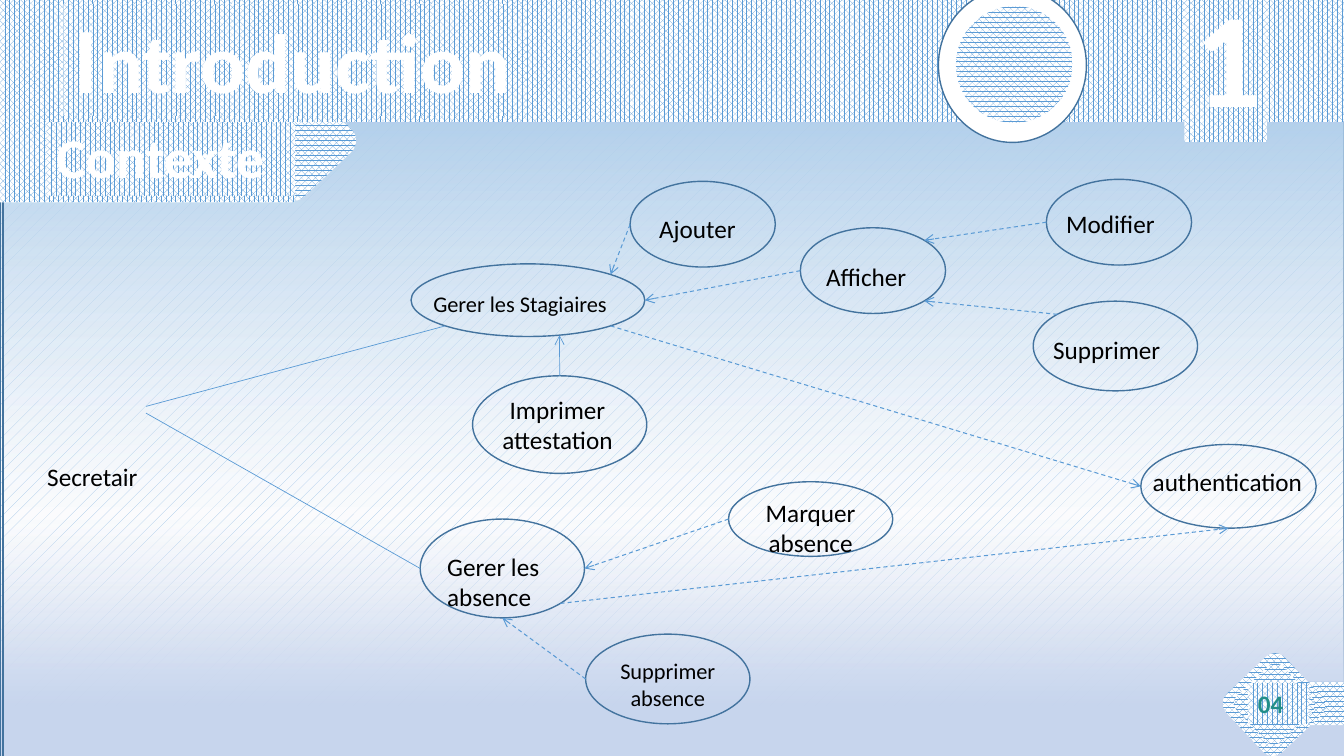
import pptx
import pptx.util
import pptx.oxml
import pptx.oxml.ns
import pptx.dml.color
import pptx.enum.dml
import pptx.enum.shapes
import pptx.enum.text

Cm, Pt = pptx.util.Cm, pptx.util.Pt
SHAPE = pptx.enum.shapes.MSO_SHAPE
PATTERN = pptx.enum.dml.MSO_PATTERN
ALIGN = pptx.enum.text.PP_ALIGN

# Content: all lengths in centimetres
SIZE = (33.87, 19.05)
BLUE, OUTLINE, WHITE, BLACK, TEAL = "5B9BD5", "43739E", "FFFFFF", "000000", "228E89"
SKY = [(0, "9DC3E6", 100), (68, "F6F8FC", 23), (93, "C7D5ED", 100)]

TITLE = [("I", "Lato"), ("ntroduction", "Calibri")]
TITLE_AT = (1.6, 0.1, 11.68, 2.82)
HEADER_AT = (0, 0, SIZE[0], 3.07)
CHAPTER = ("1", (29.85, -0.79, 2.08, 4.37))
SECTION = ("Contexte", (1.17, 2.97, 6.27, 1.96))
SECTION_TIP_AT, SECTION_BAR_AT = (6.2, 2.29, 2.44, 2.44), (0, 2.74, 7.42, 2.36)
PAGE_NUMBER = ("04", (31.45, 17.22, 1.55, 1.02))
DIAMONDS = [(31.09, 16.74, 2.03, 2.03), (31.32, 16.94, 1.6, 1.6)]
RIBBON = [(32.39, 17.22), (33.58, 17.22), (33.73, 17.17), (33.93, 16.92),
          (33.93, 18.57), (33.73, 18.34), (33.58, 18.31), (32.39, 18.31)]
RING_AT, DISC_AT = (23.65, -0.3, 3.73, 3.89), (24.1, 0.15, 2.92, 2.95)
TILT = 46.6

# key: (text, ellipse, text box, size, alignment)
USE_CASES = {
    "login": ("authentication", (28.75, 11.2, 4.42, 2.11), (28.8, 11.63, 4.42, 1.5), 18, ALIGN.LEFT),
    "trainees": ("Gerer les Stagiaires", (10.36, 6.65, 5.89, 1.83), (10.67, 7.19, 5.59, 0.79), 16, ALIGN.LEFT),
    "add": ("Ajouter", (15.88, 4.57, 3.66, 2.16), (16.36, 5.26, 2.79, 0.86), 18, ALIGN.LEFT),
    "show": ("Afficher", (20.17, 5.74, 3.66, 2.16), (20.57, 6.45, 2.95, 0.86), 18, ALIGN.LEFT),
    "print": ("Imprimer attestation", (11.91, 9.47, 4.39, 2.46), (12.07, 9.8, 3.96, 1.8), 18, ALIGN.CENTER),
    "edit": ("Modifier", (26.37, 4.52, 3.66, 2.16), (26.62, 5.13, 3.12, 0.86), 18, ALIGN.LEFT),
    "delete": ("Supprimer", (26.04, 7.59, 4.14, 2.26), (26.29, 8.31, 3.71, 0.86), 18, ALIGN.LEFT),
    "absences": ("Gerer les absence", (10.59, 13.08, 4.14, 2.49), (11.02, 13.77, 3.51, 1.5), 18, ALIGN.LEFT),
    "mark": ("Marquer absence", (18.36, 12.14, 4.14, 1.88), (18.36, 12.4, 4.14, 1.5), 18, ALIGN.CENTER),
    "drop": ("Supprimer absence", (14.76, 15.98, 4.14, 2.26), (14.94, 16.43, 3.78, 1.35), 16, ALIGN.CENTER),
}
ACTOR = ("Secretair", (0.69, 11.51, 3.28, 1.8))

# Ends are (use case, side) or a plain point
ASSOCIATIONS = [((3.68, 10.24), ("trainees", "bottom left")), ((3.68, 10.41), ("absences", "left"))]
EXTENSIONS = [(("print", "top"), (14.1, 8.45))]
INCLUSIONS = [
    (("add", "left"), ("trainees", "top right")),
    (("show", "left"), ("trainees", "right")),
    (("edit", "left"), ("show", "top right")),
    (("delete", "top left"), ("show", "bottom right")),
    (("mark", "left"), ("absences", "right")),
    (("drop", "left"), ("absences", "bottom")),
    (("absences", "bottom right"), ("login", "bottom")),
    (("trainees", "bottom right"), ("login", "left")),
]


def color(value):
    return pptx.dml.color.RGBColor.from_string(value)


def hatch(shape, pattern=PATTERN.PERCENT_70):
    shape.fill.patterned()
    shape.fill.pattern = pattern
    shape.fill.fore_color.rgb = color(BLUE)
    shape.fill.back_color.rgb = color(WHITE)


def outline(line, value, width):
    line.color.rgb = color(value)
    line.width = Pt(width)


def add_figure(kind, at, border=False, tilt=0):
    shape = page.shapes.add_shape(kind, *map(Cm, at))
    shape.shadow.inherit = False
    shape.rotation = tilt
    if border:
        outline(shape.line, OUTLINE, 1)
    else:
        shape.line.fill.background()
    return shape


def add_hatched(kind, at, tilt=0):
    shape = add_figure(kind, at, tilt=tilt)
    hatch(shape)
    return shape


def write(box, spans, size, value, bold=False, align=ALIGN.LEFT):
    frame = box.text_frame
    frame.word_wrap = True
    frame.vertical_anchor = pptx.enum.text.MSO_ANCHOR.TOP
    para = frame.paragraphs[0]
    para.alignment = align
    for text, font in spans:
        span = para.add_run()
        span.text = text
        for name, setting in {"name": font, "size": Pt(size), "bold": bold}.items():
            setattr(span.font, name, setting)
        span.font.color.rgb = color(value)


def add_label(text, at, size, value=BLACK, bold=False, align=ALIGN.LEFT):
    box = page.shapes.add_textbox(*map(Cm, at))
    write(box, [(text, "Calibri")], size, value, bold, align)
    return box


def add_sky(left):
    shape = add_figure(SHAPE.RECTANGLE, (left, 0.03, *SIZE), border=True)
    stops = "".join(
        f'<a:gs pos="{place * 1000}"><a:srgbClr val="{value}"><a:alpha val="{alpha * 1000}"/></a:srgbClr></a:gs>'
        for place, value, alpha in SKY)
    gradient = pptx.oxml.parse_xml(
        f'<a:gradFill {pptx.oxml.ns.nsdecls("a")} rotWithShape="1"><a:gsLst>{stops}</a:gsLst>'
        '<a:lin ang="5400000" scaled="1"/></a:gradFill>')
    shape._element.spPr.find(pptx.oxml.ns.qn("a:prstGeom")).addnext(gradient)


def locate(end):
    """Centimetre point of an end; corners lie on the ellipse at 45 degrees."""
    if end[0] not in USE_CASES:
        return end
    left, top, width, height = USE_CASES[end[0]][1]
    across = ("right" in end[1]) - ("left" in end[1])
    down = ("bottom" in end[1]) - ("top" in end[1])
    reach = 0.5 ** 0.5 if across and down else 1
    return (left + width / 2 * (1 + across * reach), top + height / 2 * (1 + down * reach))


def add_link(start, end, width, dashed=False, arrow=True):
    points = [Cm(value) for value in (*locate(start), *locate(end))]
    link = page.shapes.add_connector(pptx.enum.shapes.MSO_CONNECTOR.STRAIGHT, *points)
    outline(link.line, BLUE, width)
    if dashed:
        link.line.dash_style = pptx.enum.dml.MSO_LINE.DASH
    if arrow:
        link.line._get_or_add_ln().append(
            pptx.oxml.parse_xml(f'<a:tailEnd {pptx.oxml.ns.nsdecls("a")} type="arrow"/>'))
    link._element.spPr.append(pptx.oxml.parse_xml(f'<a:effectLst {pptx.oxml.ns.nsdecls("a")}/>'))


deck = pptx.Presentation()
deck.slide_width, deck.slide_height = map(Cm, SIZE)
page = deck.slides.add_slide(deck.slide_layouts[5])

# Background
hatch(add_figure(SHAPE.RECTANGLE, (0, 0, *SIZE), border=True), PATTERN.PERCENT_10)
for left in (0, 0.08):
    add_sky(left)

# Section tab and header
add_hatched(SHAPE.ROUNDED_RECTANGLE, SECTION_TIP_AT, TILT)
add_hatched(SHAPE.RECTANGLE, SECTION_BAR_AT)
hatch(add_label(*SECTION, 40, WHITE, True))
add_hatched(SHAPE.RECTANGLE, HEADER_AT)
hatch(add_label(*CHAPTER, 96, WHITE, True))

title = page.shapes.title
title.left, title.top, title.width, title.height = map(Cm, TITLE_AT)
write(title, TITLE, 60, WHITE, True)
hatch(title)
page.shapes._spTree.append(title._element)

# Page number badge
outline_points = [(Cm(x), Cm(y)) for x, y in RIBBON]
builder = page.shapes.build_freeform(*outline_points[0])
builder.add_line_segments(outline_points[1:], close=True)
ribbon = builder.convert_to_shape()
ribbon.shadow.inherit = False
ribbon.line.fill.background()
ribbon.rotation = 180
hatch(ribbon)
for at in DIAMONDS:
    add_hatched(SHAPE.ROUNDED_RECTANGLE, at, TILT)
hatch(add_label(*PAGE_NUMBER, 18, TEAL, True))

# Ring in the header
ring = add_figure(SHAPE.OVAL, RING_AT, border=True)
ring.fill.solid()
ring.fill.fore_color.rgb = color(WHITE)
add_hatched(SHAPE.ROUNDED_RECTANGLE, DISC_AT, 47.1).adjustments[0] = 0.5

# Use cases and actor
for text, ellipse_at, text_at, size, align in USE_CASES.values():
    add_figure(SHAPE.OVAL, ellipse_at, border=True).fill.background()
    add_label(text, text_at, size, align=align)
add_label(*ACTOR, 18, align=ALIGN.CENTER)

# Links
for start, end in ASSOCIATIONS:
    add_link(start, end, 0.5, arrow=False)
for start, end in EXTENSIONS:
    add_link(start, end, 0.5)
for start, end in INCLUSIONS:
    add_link(start, end, 0.75, dashed=True)

deck.save("out.pptx")
